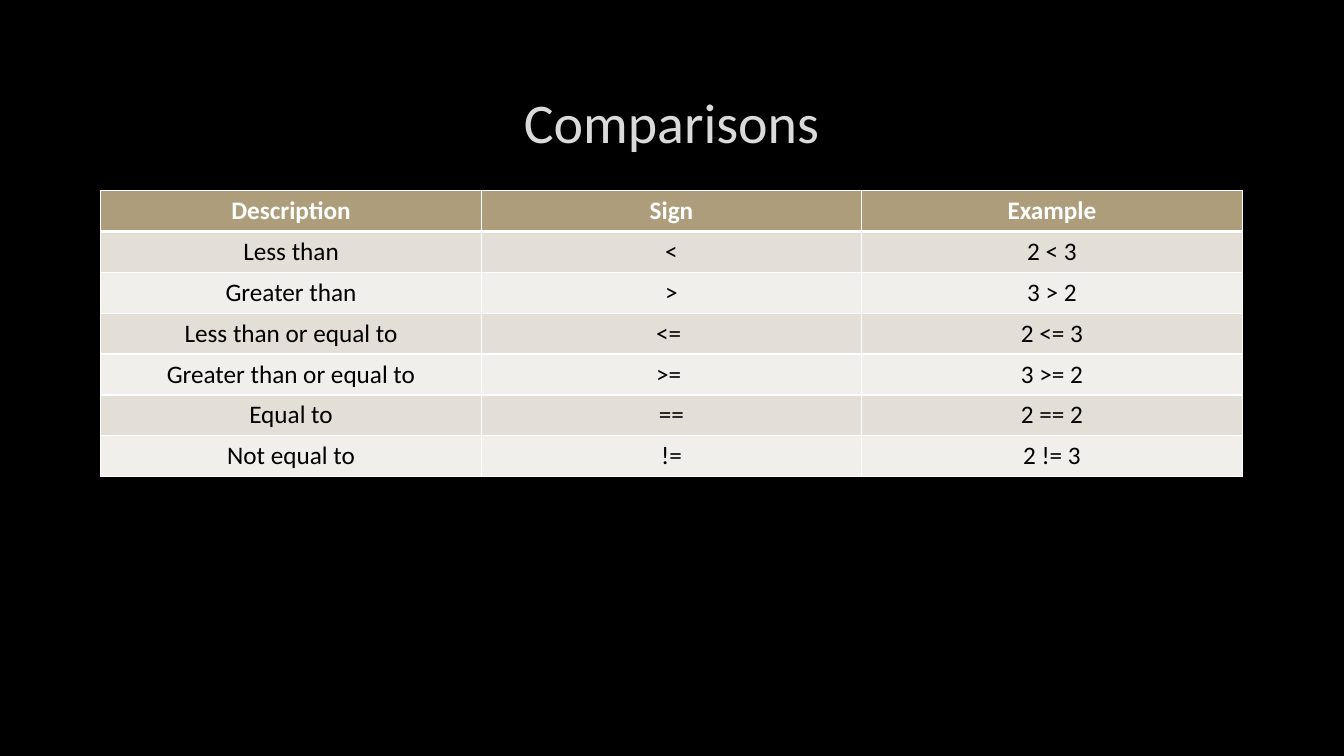
"""Build a slide with a table of comparison operators."""
import pptx
import pptx.dml.color
import pptx.enum.text
import pptx.oxml
import pptx.oxml.ns
import pptx.util

TITLE = "Comparisons"
ROWS = [
    ("Description", "Sign", "Example"),
    ("Less than", "<", "2 < 3"),
    ("Greater than", ">", "3 > 2"),
    ("Less than or equal to", "<= ", "2 <= 3"),
    ("Greater than or equal to", ">= ", "3 >= 2"),
    ("Equal to", "==", "2 == 2"),
    ("Not equal to", "!=", "2 != 3"),
]
COLORS = {
    "background": "000000", "title": "DADADA", "outline": "404040",
    "header": "AD9D7B", "header_text": "FFFFFF", "text": "000000",
    "odd": "E3DFD7", "even": "F1EFEC", "border": "FFFFFF",
}
FONT = "Calibri"
WIDTH, HEIGHT = 13.33, 7.5
LEFT, CONTENT_WIDTH = 1, 11.32
TITLE_TOP, TITLE_HEIGHT = 0.67, 1.06
TABLE_TOP, TABLE_HEIGHT = 1.89, 2.84


def rgb(name):
    return pptx.dml.color.RGBColor.from_string(COLORS[name])


def box(*lengths):
    return [pptx.util.Inches(v) for v in lengths]


def line_xml(tag, width, color, extra=""):
    return pptx.oxml.parse_xml(
        f'<a:{tag} {pptx.oxml.ns.nsdecls("a")} w="{pptx.util.Pt(width)}"><a:solidFill>'
        f'<a:srgbClr val="{COLORS[color]}">{extra}</a:srgbClr></a:solidFill></a:{tag}>')


def format_paragraph(p, size, color, bold=False):
    p.alignment = pptx.enum.text.PP_ALIGN.CENTER
    p.font.name, p.font.size, p.font.bold = FONT, pptx.util.Pt(size), bold
    p.font.color.rgb = rgb(color)


def add_title(slide):
    sp = slide.shapes.title
    sp.left, sp.top, sp.width, sp.height = box(LEFT, TITLE_TOP, CONTENT_WIDTH, TITLE_HEIGHT)
    tf = sp.text_frame
    tf.text = TITLE
    tf.vertical_anchor = pptx.enum.text.MSO_ANCHOR.MIDDLE
    p = tf.paragraphs[0]
    format_paragraph(p, 40, "title")
    r_pr = p.runs[0].font._element
    r_pr.insert(0, line_xml("ln", 0.75, "outline", '<a:alpha val="10000"/>'))


def add_comparisons(slide):
    table = slide.shapes.add_table(
        len(ROWS), len(ROWS[0]), *box(LEFT, TABLE_TOP, CONTENT_WIDTH, TABLE_HEIGHT)).table
    for i, row in enumerate(ROWS):
        header = i == 0
        fill = "header" if header else "odd" if i % 2 else "even"
        widths = {"lnL": 1, "lnR": 1, "lnT": 3 if i == 1 else 1, "lnB": 3 if header else 1}
        for j, text in enumerate(row):
            cell = table.cell(i, j)
            cell.text = text
            tc_pr = cell._tc.get_or_add_tcPr()
            for tag, width in widths.items():
                tc_pr.append(line_xml(tag, width, "border"))
            cell.fill.solid()
            cell.fill.fore_color.rgb = rgb(fill)
            format_paragraph(cell.text_frame.paragraphs[0], 18,
                             "header_text" if header else "text", header)


def main():
    prs = pptx.Presentation()
    prs.slide_width, prs.slide_height = box(WIDTH, HEIGHT)
    slide = prs.slides.add_slide(prs.slide_layouts[5])
    slide.background.fill.solid()
    slide.background.fill.fore_color.rgb = rgb("background")
    add_title(slide)
    add_comparisons(slide)
    prs.save("out.pptx")


if __name__ == "__main__":
    main()
